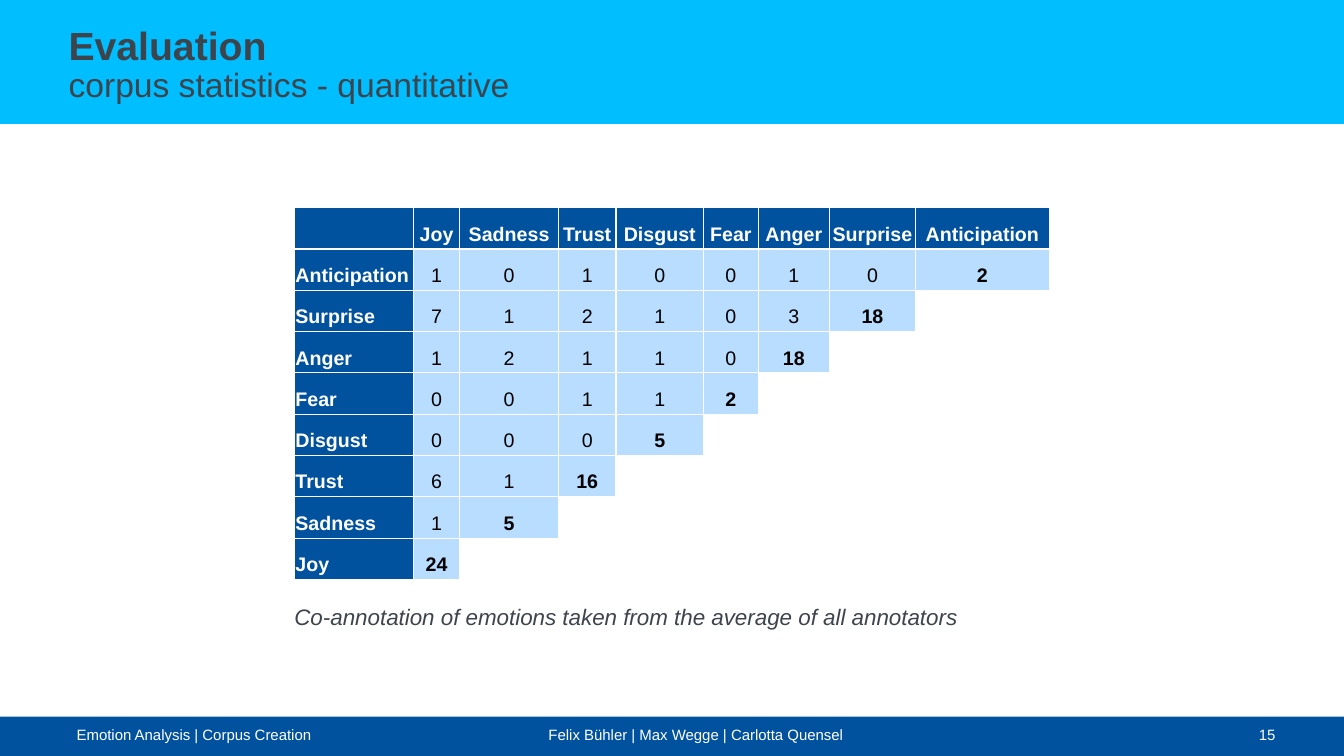
"""Build the slide with the emotion co-annotation table."""
from lxml import etree
from pptx import Presentation, util as u
from pptx.dml.color import RGBColor
from pptx.enum import shapes, text
from pptx.oxml import ns

TITLE = "Evaluation"
SUB = "corpus statistics - quantitative"
NOTE = "Co-annotation of emotions taken from the average of all annotators"
TOPIC = "Emotion Analysis | Corpus Creation"
TEAM = "Felix Bühler | Max Wegge | Carlotta Quensel"
PAGE = "15"
MOODS = ["Joy", "Sadness", "Trust", "Disgust", "Fear", "Anger",
         "Surprise", "Anticipation"]
COUNTS = [
    [1, 0, 1, 0, 0, 1, 0, 2],
    [7, 1, 2, 1, 0, 3, 18],
    [1, 2, 1, 1, 0, 18],
    [0, 0, 1, 1, 2],
    [0, 0, 0, 5],
    [6, 1, 16],
    [1, 5],
    [24],
]
WIDTHS = [1.18, 0.46, 0.98, 0.57, 0.87, 0.54, 0.71, 0.85, 1.33]
ROW = 0.41
WIDE, HIGH = 13.33, 7.5
LEFT, TAB = 2.92, 4.68

NAVY = RGBColor(0x00, 0x51, 0x9E)
CYAN = RGBColor(0x00, 0xBE, 0xFF)
PALE = RGBColor(0xB9, 0xDD, 0xFF)
GREY = RGBColor(0x3E, 0x44, 0x4C)
WHITE = RGBColor(0xFF, 0xFF, 0xFF)
BLACK = RGBColor(0, 0, 0)
LEFTWARD, MID, RIGHT = (text.PP_ALIGN.LEFT, text.PP_ALIGN.CENTER,
                        text.PP_ALIGN.RIGHT)


def write(para, words, size=14, color=WHITE, bold=False, italic=False,
          align=LEFTWARD, lead=None, before=0, after=0):
    """Add one formatted run to a paragraph."""
    run = para.add_run()
    run.text = words
    font = run.font
    font.name, font.size = "Arial", u.Pt(size)
    font.bold, font.italic = bold, italic
    font.color.rgb = color
    para.alignment, para.line_spacing = align, lead
    para.space_before, para.space_after = u.Pt(before), u.Pt(after)


def clear(frame, wrap=True):
    """Strip the margins of a text frame and return its paragraph."""
    frame.margin_left = frame.margin_right = 0
    frame.margin_top = frame.margin_bottom = 0
    frame.word_wrap = wrap
    frame.auto_size = text.MSO_AUTO_SIZE.NONE
    frame.vertical_anchor = text.MSO_ANCHOR.TOP
    return frame.paragraphs[0]


def place(slide, box, wrap=True):
    """Add a text box and return its first paragraph."""
    item = slide.shapes.add_textbox(*map(u.Inches, box))
    return clear(item.text_frame, wrap)


def band(slide, top, high, color):
    """Draw a full-width bar."""
    bar = slide.shapes.add_shape(
        shapes.MSO_SHAPE.RECTANGLE, 0, u.Inches(top), u.Inches(WIDE),
        u.Inches(high))
    bar.shadow.inherit = False
    bar.fill.solid()
    bar.fill.fore_color.rgb = color
    bar.line.fill.background()


def edge(cell):
    """Give a cell thin white borders."""
    props = cell._tc.get_or_add_tcPr()
    for spot, side in enumerate(("lnL", "lnR", "lnT", "lnB")):
        line = etree.Element(ns.qn("a:" + side), w=str(u.Pt(1)))
        fill = etree.SubElement(line, ns.qn("a:solidFill"))
        etree.SubElement(fill, ns.qn("a:srgbClr"), val=str(WHITE))
        props.insert(spot, line)


def style(cell, words, fill, **form):
    """Fill one cell of the table."""
    cell.fill.solid()
    cell.fill.fore_color.rgb = fill
    cell.margin_left = cell.margin_right = cell.margin_top = u.Inches(0.01)
    cell.margin_bottom = 0
    cell.vertical_anchor = text.MSO_ANCHOR.MIDDLE
    if words:
        write(cell.text_frame.paragraphs[0], words, lead=1.5, after=6, **form)


def matrix(slide):
    """Add the triangular table of counts."""
    size = len(MOODS) + 1
    grid = slide.shapes.add_table(
        size, size, u.Inches(LEFT), u.Inches(2.06), u.Inches(sum(WIDTHS)),
        u.Inches(ROW * size)).table
    grid.first_row = grid.horz_banding = False
    for col, width in zip(grid.columns, WIDTHS):
        col.width = u.Inches(width)
    for row in grid.rows:
        row.height = u.Inches(ROW)
    for cell in grid.iter_cells():
        cell.fill.background()
        edge(cell)
    for col, mood in enumerate([""] + MOODS):
        style(grid.cell(0, col), mood, NAVY, bold=True, align=MID)
    for row, (mood, line) in enumerate(zip(reversed(MOODS), COUNTS), 1):
        style(grid.cell(row, 0), mood, NAVY, bold=True)
        for col, count in enumerate(line, 1):
            style(grid.cell(row, col), str(count), PALE, color=BLACK,
                  bold=col == len(line), align=MID)


def main():
    deck = Presentation()
    deck.slide_width, deck.slide_height = u.Inches(WIDE), u.Inches(HIGH)
    slide = deck.slides.add_slide(deck.slide_layouts[5])
    band(slide, 7.11, 0.39, NAVY)
    band(slide, 0, 1.23, CYAN)

    write(place(slide, (12.32, 7.2, 0.33, 0.18)), PAGE, size=10.7,
          align=RIGHT)
    foot = place(slide, (0.76, 7.2, 7.68, 0.18))
    write(foot, TOPIC + "\t" + TEAM, size=10.7)
    stops = etree.SubElement(foot._p.get_or_add_pPr(), ns.qn("a:tabLst"))
    etree.SubElement(stops, ns.qn("a:tab"), pos=str(u.Inches(TAB)), algn="l")

    title = slide.shapes.title
    title.left, title.top = u.Inches(0.68), u.Inches(0.26)
    title.width, title.height = u.Inches(12.02), u.Inches(0.37)
    title.element.getparent().append(title.element)
    head = clear(title.text_frame)
    write(head, TITLE, size=28, color=GREY, bold=True, lead=0.9)
    head.add_line_break()
    write(head, SUB, size=24, color=GREY, lead=0.9)

    matrix(slide)
    write(place(slide, (LEFT, 5.93, 6.67, 0.29), wrap=False), NOTE, size=16,
          color=GREY, italic=True, lead=1.2, before=7.5)
    deck.save("out.pptx")


if __name__ == "__main__":
    main()
